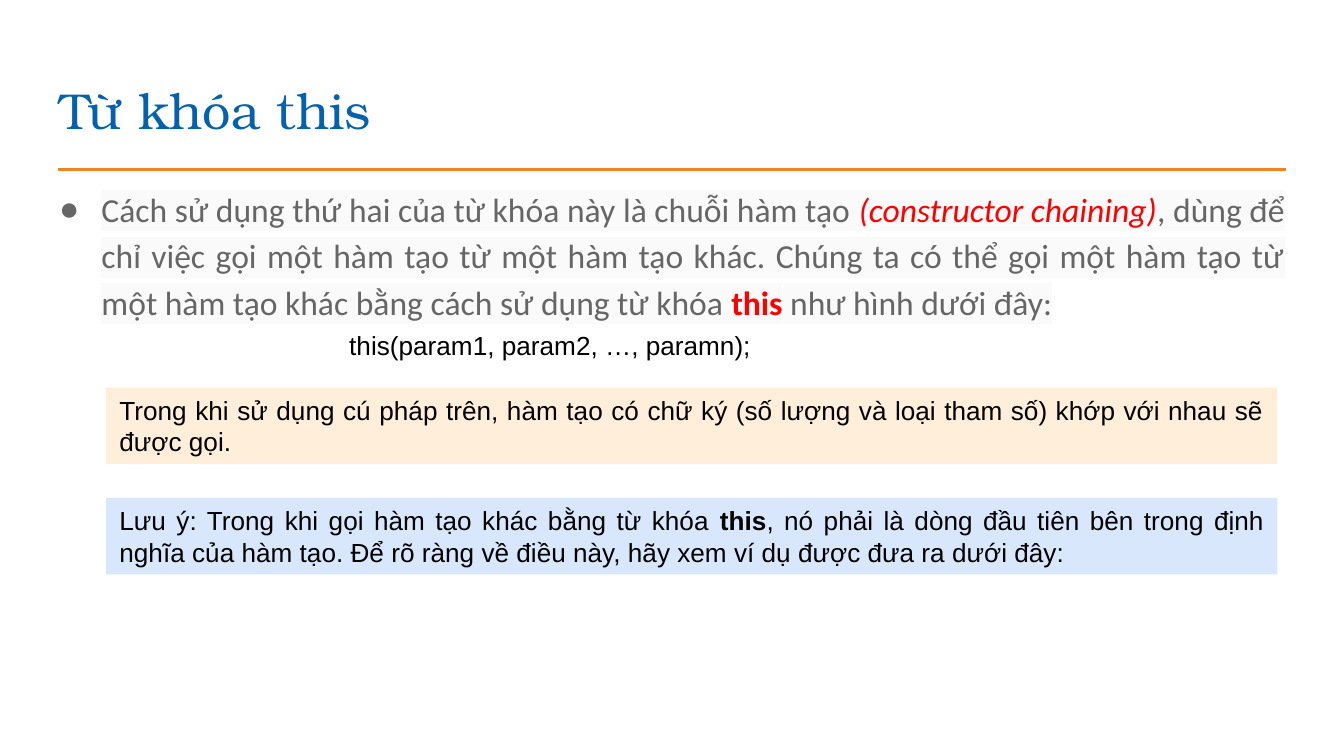
from lxml.etree import SubElement
from pptx import Presentation
from pptx.dml.color import RGBColor
from pptx.enum.shapes import MSO_CONNECTOR, MSO_SHAPE
from pptx.enum.text import MSO_ANCHOR, MSO_AUTO_SIZE, PP_ALIGN as ALIGN
from pptx.oxml import parse_xml
from pptx.oxml.ns import nsdecls, qn
from pptx.util import Emu, Pt

PX = 4572
BLUE = RGBColor(0x03, 0x61, 0xAE)
ORANGE = RGBColor(0xF4, 0x81, 0x21)
GRAY = RGBColor(0x66, 0x66, 0x66)
RED = RGBColor(0xFF, 0x00, 0x00)
BLACK = RGBColor(0x00, 0x00, 0x00)
PALE_GRAY = RGBColor(0xFA, 0xFA, 0xFA)
PALE_ORANGE = RGBColor(0xFF, 0xEE, 0xD9)
PALE_BLUE = RGBColor(0xD9, 0xE7, 0xFD)

INTRO = [
    ("Cách sử dụng thứ hai của từ khóa này là chuỗi hàm tạo ", {}),
    ("(constructor chaining)", {"color": RED, "italic": True}),
    (", dùng để chỉ việc gọi một hàm tạo từ một hàm tạo khác. Chúng ta có thể "
     "gọi một hàm tạo từ một hàm tạo khác bằng cách sử dụng từ khóa ", {}),
    ("this", {"color": RED, "bold": True}),
    (" như hình dưới đây:", {}),
]
SYNTAX = [("this(param1, param2, …, paramn);", {})]
MATCHING = [
    ("Trong khi sử dụng cú pháp trên, hàm tạo có chữ ký (số lượng và loại "
     "tham số) khớp với nhau sẽ được gọi.", {}),
]
NOTE = [
    ("Lưu ý: Trong khi gọi hàm tạo khác bằng từ khóa ", {}),
    ("this", {"bold": True}),
    (", nó phải là dòng đầu tiên bên trong định nghĩa của hàm tạo. Để rõ ràng "
     "về điều này, hãy xem ví dụ được đưa ra dưới đây:", {}),
]


def px(*values):
    return [Emu(v * PX) for v in values]


def add_runs(p, runs, font, size, color, align, highlight=None):
    p.alignment = align
    for text, style in runs:
        r = p.add_run()
        r.text = text
        r.font.name = font
        r.font.size = Pt(size)
        r.font.color.rgb = style.get("color", color)
        r.font.bold = style.get("bold", False)
        r.font.italic = style.get("italic", False)
        if highlight is not None:
            mark = parse_xml(f'<a:highlight {nsdecls("a")}>'
                             f'<a:srgbClr val="{highlight}"/></a:highlight>')
            r.font._element.find(qn("a:solidFill")).addnext(mark)


def set_bullet(p, char, color, indent):
    pPr = p._p.get_or_add_pPr()
    pPr.set("marL", str(indent))
    pPr.set("indent", str(-indent))
    SubElement(SubElement(pPr, qn("a:buClr")), qn("a:srgbClr"), val=str(color))
    SubElement(pPr, qn("a:buChar"), char=char)


def place(sp, *box):
    sp.left, sp.top, sp.width, sp.height = px(*box)
    tf = sp.text_frame
    tf.word_wrap = True
    tf.auto_size = MSO_AUTO_SIZE.NONE
    tf.vertical_anchor = MSO_ANCHOR.TOP
    tf.margin_left, tf.margin_top, tf.margin_right, tf.margin_bottom = px(20, 20, 20, 20)
    return tf.paragraphs[0]


def add_title(slide, text):
    p = place(slide.shapes.title, 68, 98, 1864, 126)
    add_runs(p, [(text, {})], "TeX Gyre Bonum", 27, BLUE, ALIGN.LEFT)


def add_body(slide, runs):
    p = place(slide.placeholders[1], 68, 252, 1864, 748)
    p.line_spacing = 1.15
    p.space_before = Pt(0)
    add_runs(p, runs, "Calibri", 18, GRAY, ALIGN.JUSTIFY, PALE_GRAY)
    set_bullet(p, "●", GRAY, px(63)[0])


def add_rule(slide, x1, x2, y):
    line = slide.shapes.add_connector(MSO_CONNECTOR.STRAIGHT, *px(x1, y, x2, y))
    line.line.color.rgb = ORANGE
    line.line.width = Pt(1.5)
    SubElement(line._element.spPr, qn("a:effectLst"))


def add_syntax(slide, runs):
    tf = slide.shapes.add_textbox(*px(500, 481, 1000, 68)).text_frame
    tf.word_wrap = True
    add_runs(tf.paragraphs[0], runs, "Arial", 14, BLACK, ALIGN.LEFT)


def add_callout(slide, top, fill, runs):
    sp = slide.shapes.add_shape(MSO_SHAPE.RECTANGLE, *px(158, top, 1743, 114))
    sp.shadow.inherit = False
    sp.fill.solid()
    sp.fill.fore_color.rgb = fill
    sp.line.fill.background()
    tf = sp.text_frame
    tf.word_wrap = True
    tf.vertical_anchor = MSO_ANCHOR.TOP
    add_runs(tf.paragraphs[0], runs, "Arial", 14, BLACK, ALIGN.JUSTIFY)


def main():
    prs = Presentation()
    prs.slide_width, prs.slide_height = px(2000, 1125)
    slide = prs.slides.add_slide(prs.slide_layouts[1])
    add_rule(slide, 87, 1913, 252)
    add_title(slide, "Từ khóa this")
    add_body(slide, INTRO)
    add_callout(slide, 577, PALE_ORANGE, MATCHING)
    add_syntax(slide, SYNTAX)
    add_callout(slide, 741, PALE_BLUE, NOTE)
    prs.save("out.pptx")


if __name__ == "__main__":
    main()
